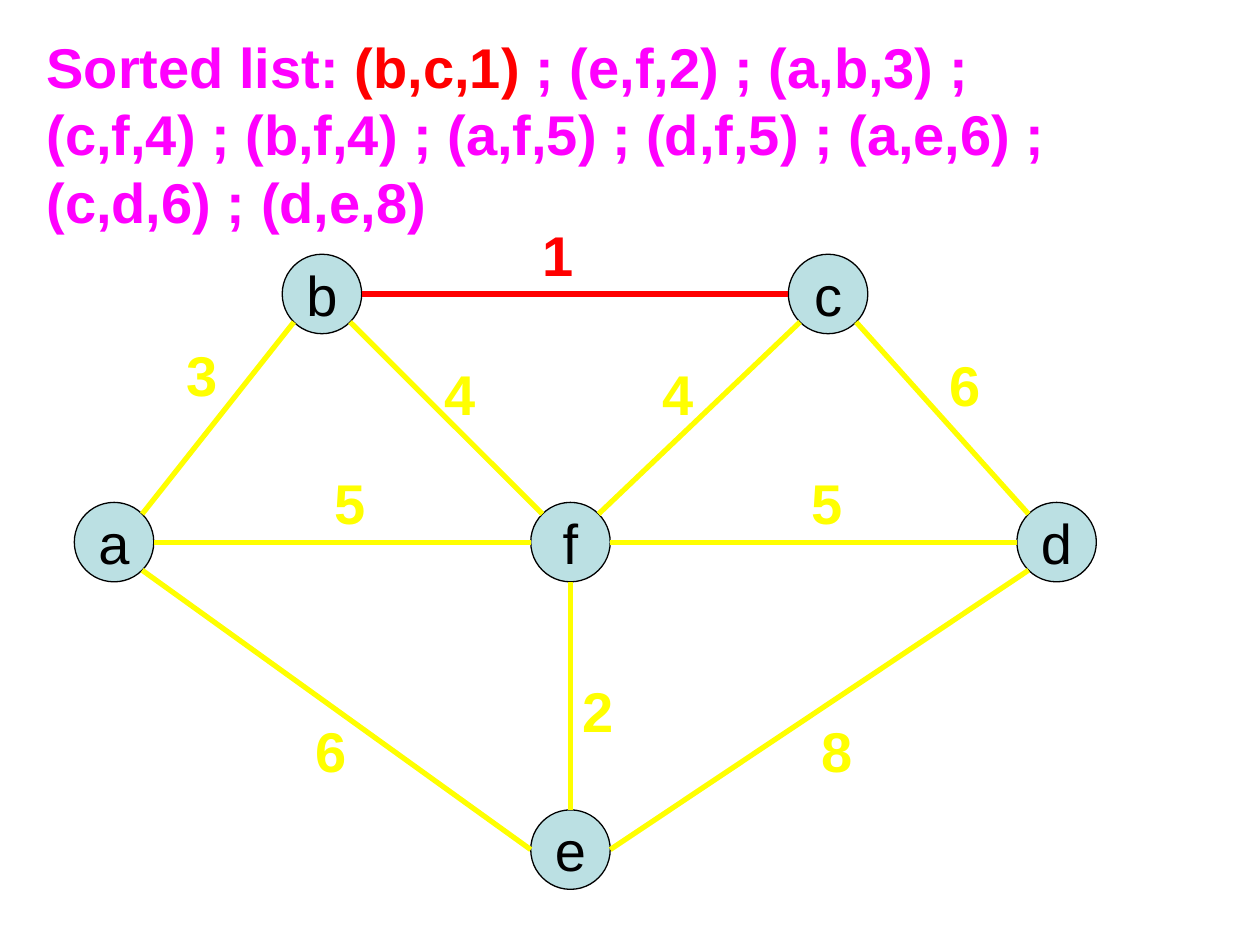
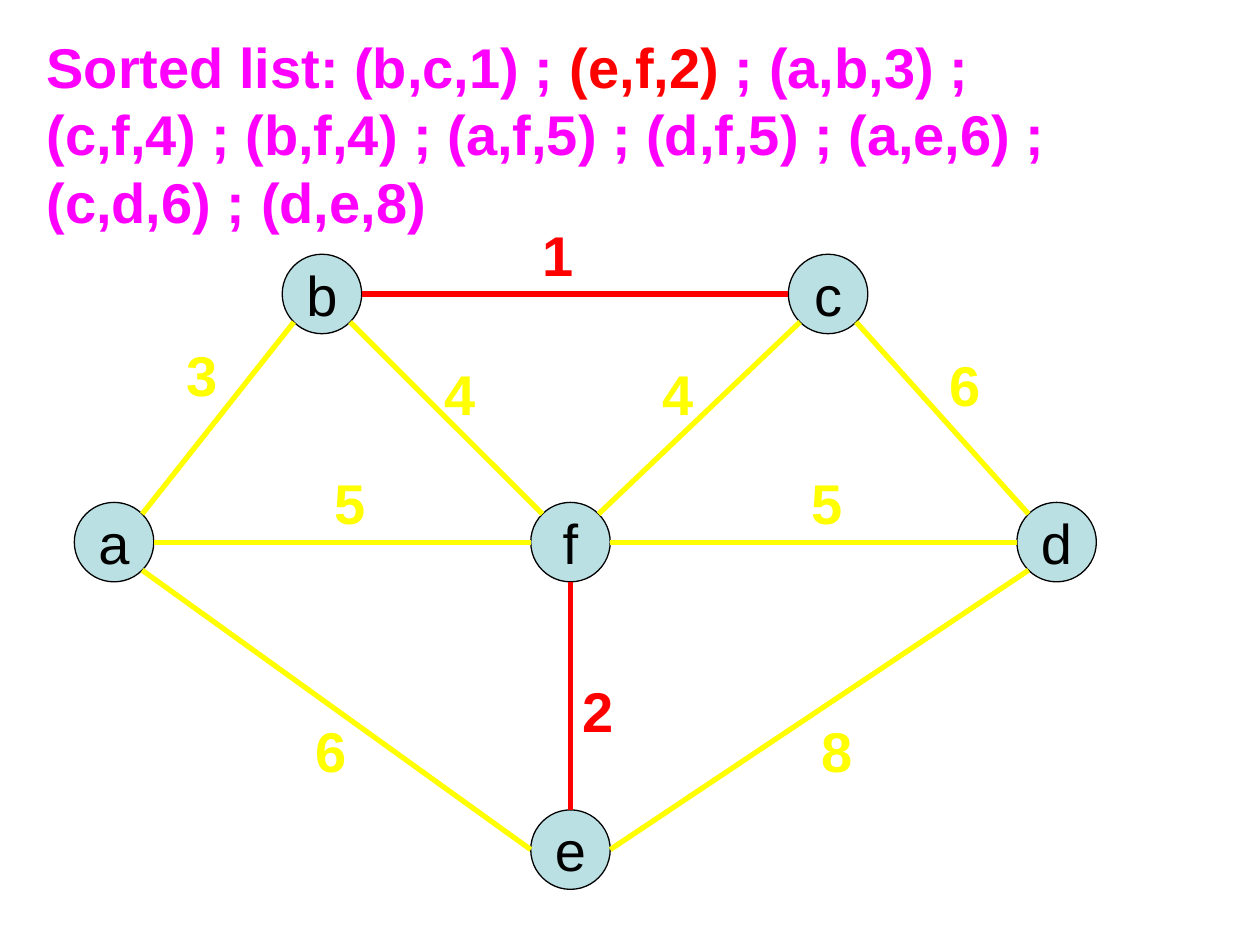
from math import sqrt
from lxml.etree import SubElement
from pptx import Presentation
from pptx.dml.color import RGBColor
from pptx.enum.shapes import MSO_CONNECTOR, MSO_SHAPE
from pptx.enum.text import MSO_ANCHOR, MSO_AUTO_SIZE, PP_ALIGN
from pptx.oxml.ns import qn
from pptx.util import Pt

MAGENTA = RGBColor(0xFF, 0x00, 0xFF)
RED = RGBColor(0xFF, 0x00, 0x00)
YELLOW = RGBColor(0xFF, 0xFF, 0x00)
PALE_BLUE = RGBColor(0xBB, 0xE0, 0xE3)
BLACK = RGBColor(0x00, 0x00, 0x00)

FONT, SIZE = "Arial", 32
DIAMETER = 45.4
LABEL_SIZE = (32.4, 46)
LIST_BOX = (19.5, 15.1, 635, 122.4)

NODES = {
    "b": (184, 168),
    "c": (473.2, 168),
    "a": (65.2, 309.8),
    "d": (603.8, 309.8),
    "f": (326, 309.8),
    "e": (326, 485.5),
}

# start, end, weight, side of start, side of end, label left and top
EDGES = [
    ("b", "c", 1, "E", "W", (303.1, 122.4)),
    ("e", "f", 2, "N", "S", (326, 383)),
    ("a", "b", 3, "NE", "SW", (99.3, 190.8)),
    ("c", "f", 4, "SW", "NE", (371.5, 201.6)),
    ("b", "f", 4, "SE", "NW", (247, 201.6)),
    ("a", "f", 5, "E", "W", (184.2, 264.2)),
    ("d", "f", 5, "W", "E", (456.5, 264.2)),
    ("a", "e", 6, "SE", "W", (173, 406)),
    ("c", "d", 6, "SE", "NW", (535.7, 196.5)),
    ("d", "e", 8, "SW", "E", (462.2, 406)),
]
STEPS = [1, 2]


def style(r, color, bold=True):
    r.font.name = FONT
    r.font.size = Pt(SIZE)
    r.font.bold = bold
    r.font.color.rgb = color


def add_text(slide, box, wrap, runs):
    tf = slide.shapes.add_textbox(*map(Pt, box)).text_frame
    tf.word_wrap = wrap
    tf.auto_size = MSO_AUTO_SIZE.SHAPE_TO_FIT_TEXT
    for text, color in runs:
        r = tf.paragraphs[0].add_run()
        r.text = text
        style(r, color)


def add_node(slide, name):
    x, y = NODES[name]
    sp = slide.shapes.add_shape(MSO_SHAPE.OVAL, Pt(x - DIAMETER / 2), Pt(y - DIAMETER / 2),
                                Pt(DIAMETER), Pt(DIAMETER))
    sp.shadow.inherit = False
    sp.fill.solid()
    sp.fill.fore_color.rgb = PALE_BLUE
    sp.line.color.rgb = BLACK
    sp.line.width = Pt(0.75)
    tf = sp.text_frame
    tf.word_wrap = False
    tf.vertical_anchor = MSO_ANCHOR.MIDDLE
    tf.text = name
    p = tf.paragraphs[0]
    p.alignment = PP_ALIGN.CENTER
    style(p.runs[0], BLACK, bold=False)


def rim_point(name, side):
    x, y = NODES[name]
    reach = DIAMETER / 2 / sqrt(len(side))
    dx = ("E" in side) - ("W" in side)
    dy = ("S" in side) - ("N" in side)
    return Pt(x + dx * reach), Pt(y + dy * reach)


def add_edge(slide, edge, color):
    start, end, weight, start_side, end_side, label_at = edge
    line = slide.shapes.add_connector(MSO_CONNECTOR.STRAIGHT, *rim_point(start, start_side),
                                      *rim_point(end, end_side))
    line.line.color.rgb = color
    line.line.width = Pt(3)
    SubElement(line._element.spPr, qn("a:effectLst"))
    add_text(slide, label_at + LABEL_SIZE, False, [(str(weight), color)])


def add_sorted_list(slide, step):
    items = [f"({start},{end},{weight})" for start, end, weight, *_ in EDGES]
    before = "Sorted list: " + "".join(item + " ; " for item in items[:step - 1])
    after = "".join(" ; " + item for item in items[step:])
    add_text(slide, LIST_BOX, True,
             [(before, MAGENTA), (items[step - 1], RED), (after, MAGENTA)])


def main():
    prs = Presentation()
    prs.slide_width, prs.slide_height = Pt(720), Pt(540)
    for step in STEPS:
        slide = prs.slides.add_slide(prs.slide_layouts[6])
        for name in NODES:
            add_node(slide, name)
        for i, edge in enumerate(EDGES):
            add_edge(slide, edge, RED if i < step else YELLOW)
        add_sorted_list(slide, step)
    prs.save("out.pptx")


if __name__ == "__main__":
    main()
